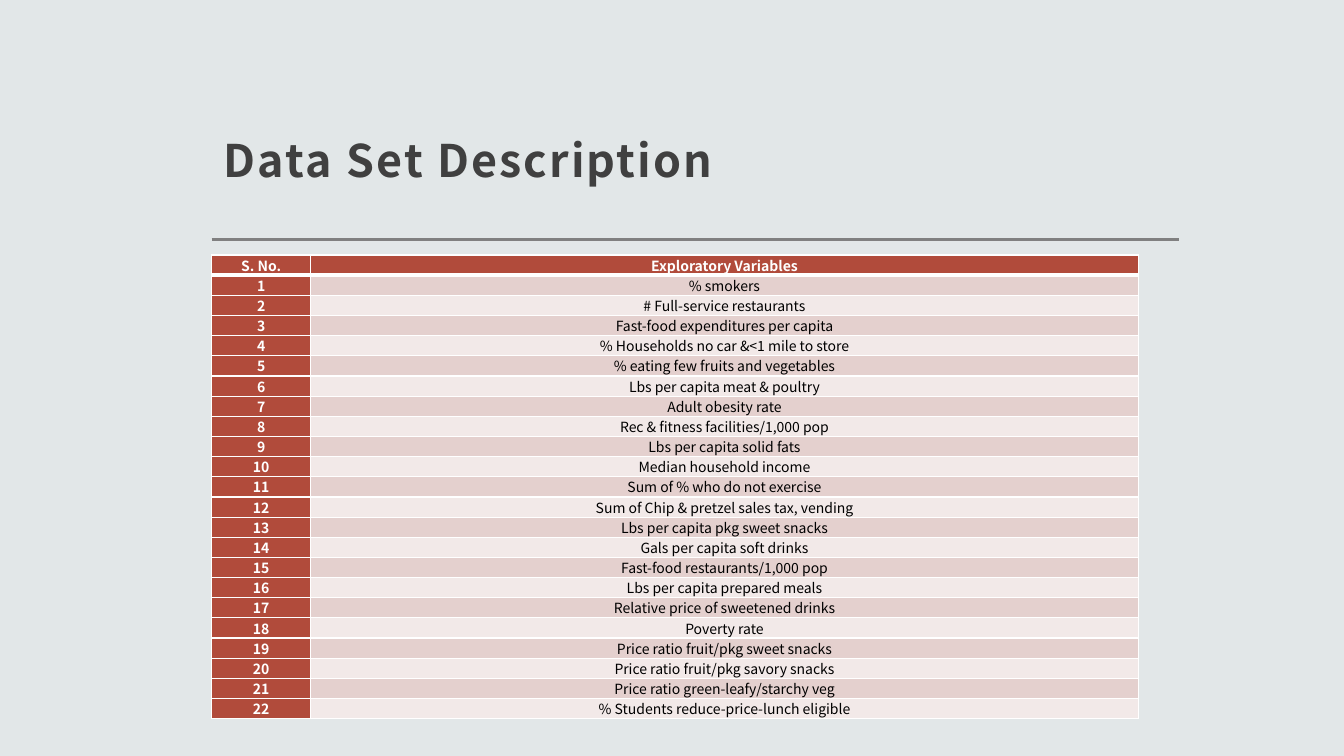
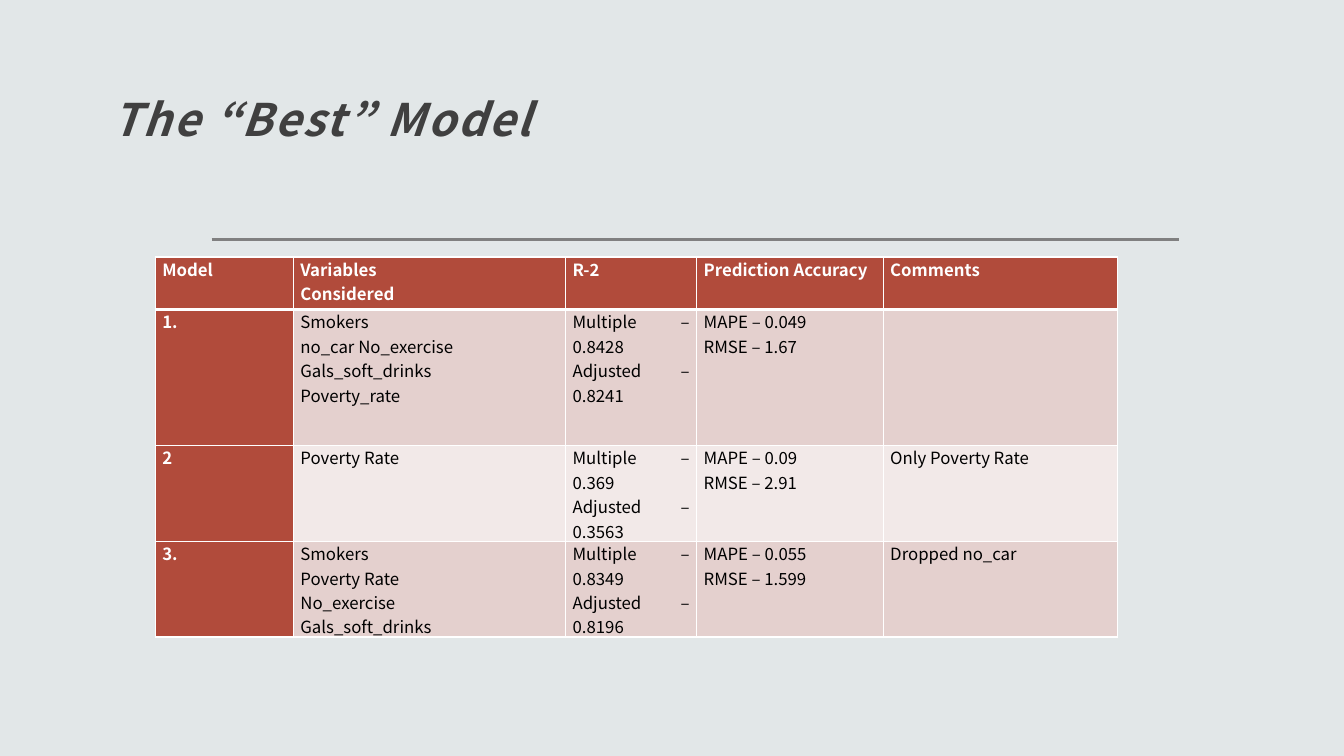
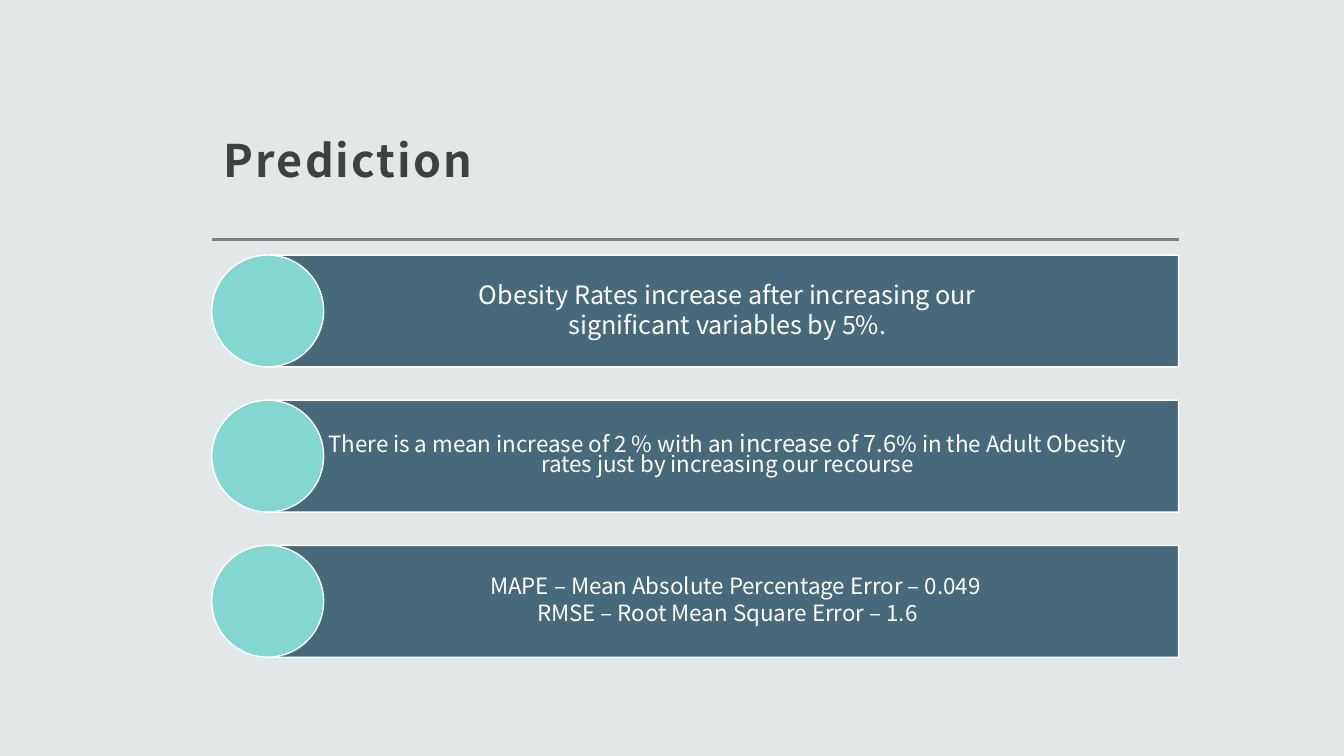
from pptx import Presentation
from pptx.dml.color import RGBColor
from pptx.enum.shapes import MSO_CONNECTOR, MSO_SHAPE
from pptx.enum.text import MSO_ANCHOR, PP_ALIGN
from pptx.oxml.ns import qn
from pptx.util import Inches, Pt
from lxml.etree import SubElement

# Shared look
FONT = "Noto Sans CJK JP"
BACK = RGBColor(0xE2, 0xE7, 0xE8)
INK = RGBColor(0x40, 0x40, 0x40)
GREY = RGBColor(0x80, 0x80, 0x80)
WHITE = RGBColor(0xFF, 0xFF, 0xFF)
BLACK = RGBColor(0, 0, 0)
RUST = RGBColor(0xB1, 0x4B, 0x3B)
STRIPES = RGBColor(0xE4, 0xD0, 0xCE), RGBColor(0xF2, 0xE9, 0xE8)
STEEL = RGBColor(0x46, 0x69, 0x7C)
AQUA = RGBColor(0x84, 0xD6, 0xD1)
LEFT, WIDE = 2.1, 9.59

# Content
FACTORS = [
    "% smokers",
    "# Full-service restaurants",
    "Fast-food expenditures per capita",
    "% Households no car &<1 mile to store",
    "% eating few fruits and vegetables",
    "Lbs per capita meat & poultry",
    "Adult obesity rate",
    "Rec & fitness facilities/1,000 pop",
    "Lbs per capita solid fats",
    "Median household income",
    "Sum of % who do not exercise",
    "Sum of Chip & pretzel sales tax, vending",
    "Lbs per capita pkg sweet snacks",
    "Gals per capita soft drinks",
    "Fast-food restaurants/1,000 pop",
    "Lbs per capita prepared meals",
    "Relative price of sweetened drinks",
    "Poverty rate",
    "Price ratio fruit/pkg sweet snacks",
    "Price ratio fruit/pkg savory snacks",
    "Price ratio green-leafy/starchy veg",
    "% Students reduce-price-lunch eligible",
]

# One list per cell, one string per paragraph
MODELS = [
    [["Model"], ["Variables", "Considered"], ["R-2"],
     ["Prediction Accuracy"], ["Comments"]],
    [["1."],
     ["Smokers", "no_car No_exercise", "Gals_soft_drinks", "Poverty_rate"],
     ["Multiple – 0.8428", "Adjusted – 0.8241"],
     ["MAPE – 0.049", "RMSE – 1.67"], []],
    [["2"], ["Poverty Rate"],
     ["Multiple – 0.369", "Adjusted – 0.3563"],
     ["MAPE – 0.09", "RMSE – 2.91"], ["Only Poverty Rate"]],
    [["3."],
     ["Smokers", "Poverty Rate", "No_exercise", "Gals_soft_drinks"],
     ["Multiple – 0.8349", "Adjusted – 0.8196"],
     ["MAPE – 0.055", "RMSE – 1.599"], ["Dropped no_car"]],
]

# Line spacing, side inset, then paragraphs of (indent, runs of (text, size))
BARS = [
    (0.9, 0, [(0, [("Obesity Rates increase after increasing our", 18)]),
              (0, [("significant variables by 5%.", 18)])]),
    (0.72, 0.3, [(0, [("There is a mean increase of 2 % with an ", 16),
                      ("increase", 17), (" of ", 16), ("7.6", 17),
                      ("% in the Adult Obesity rates just by increasing "
                       "our recourse", 16)])]),
    (0.9, 0, [(0.16, [("MAPE – Mean Absolute Percentage Error – 0.049", 16)]),
              (0, [("RMSE – Root Mean Square Error – 1.6", 16)])]),
]


def add_run(para, text, size, color, bold=False, italic=False):
    run = para.add_run()
    run.text = text
    font = run.font
    font.name, font.size, font.bold, font.italic = FONT, Pt(size), bold, italic
    font.color.rgb = color
    return run


def set_frame(frame, anchor, *insets):
    frame.word_wrap = True
    frame.vertical_anchor = anchor
    (frame.margin_left, frame.margin_top,
     frame.margin_right, frame.margin_bottom) = map(Inches, insets)


def add_box(slide, *place):
    return slide.shapes.add_textbox(*map(Inches, place)).text_frame


def start(deck, title, place=(LEFT, 0.48, WIDE, 1.47), italic=False):
    """Blank slide with background, rule and title."""
    slide = deck.slides.add_slide(deck.slide_layouts[6])
    slide.background.fill.solid()
    slide.background.fill.fore_color.rgb = BACK
    rule = slide.shapes.add_connector(
        MSO_CONNECTOR.STRAIGHT,
        *map(Inches, (LEFT, 2.38, LEFT + WIDE, 2.38)))
    rule.line.color.rgb, rule.line.width = GREY, Pt(2)
    SubElement(rule._element.spPr, qn("a:effectLst"))
    frame = add_box(slide, *place)
    set_frame(frame, MSO_ANCHOR.BOTTOM, 0.12, 0.12, 0.12, 0.1)
    para = frame.paragraphs[0]
    para.line_spacing = 1.3
    run = add_run(para, title, 32, INK, True, italic)
    run.font._element.set("spc", "150")
    return slide


def set_edges(cell, head):
    props = cell._tc.get_or_add_tcPr()
    for side in "LRTB":
        width = Pt(3 if head and side == "B" else 1)
        edge = SubElement(props, qn("a:ln" + side), w=str(width))
        fill = SubElement(edge, qn("a:solidFill"))
        SubElement(fill, qn("a:srgbClr"), val=str(WHITE))


def add_grid(slide, rows, left, top, widths, heights, size, align, anchor):
    """Table with a rust header row and first column, striped elsewhere."""
    table = slide.shapes.add_table(
        len(rows), len(widths),
        *map(Inches, (left, top, sum(widths), sum(heights)))).table
    for col, width in zip(table.columns, widths):
        col.width = Inches(width)
    for r, (row, height) in enumerate(zip(rows, heights)):
        table.rows[r].height = Inches(height)
        for c, lines in enumerate(row):
            cell = table.cell(r, c)
            strong = r == 0 or c == 0
            set_edges(cell, r == 0)
            cell.fill.solid()
            cell.fill.fore_color.rgb = RUST if strong else STRIPES[(r - 1) % 2]
            cell.vertical_anchor = anchor
            cell.margin_left = cell.margin_right = Inches(0.07)
            cell.margin_top = cell.margin_bottom = 0
            frame = cell.text_frame
            for i, line in enumerate(lines):
                para = frame.add_paragraph() if i else frame.paragraphs[0]
                para.alignment = align
                add_run(para, line, size, WHITE if strong else BLACK, strong)


def add_form(slide, kind, color, *place):
    form = slide.shapes.add_shape(kind, *map(Inches, place))
    form.shadow.inherit = False
    form.fill.solid()
    form.fill.fore_color.rgb = color
    form.line.color.rgb, form.line.width = WHITE, Pt(1)
    return form


def add_bar(slide, top, spacing, inset, paras):
    """Arrow bar with its text and a disc at the left end."""
    tall, shift = 1.11, 0.28
    bar = add_form(slide, MSO_SHAPE.PENTAGON, STEEL, LEFT, top, WIDE, tall)
    bar.rotation = 180
    frame = add_box(slide, LEFT + shift, top, WIDE - shift, tall)
    set_frame(frame, MSO_ANCHOR.MIDDLE, 0.49 + inset, 0.07, 0.13 + inset, 0.07)
    for i, (indent, runs) in enumerate(paras):
        para = frame.add_paragraph() if i else frame.paragraphs[0]
        para.alignment = PP_ALIGN.CENTER
        para.line_spacing, para.space_after = spacing, Pt(2)
        if indent:
            para._p.get_or_add_pPr().set("marL", str(Inches(indent)))
        for text, size in runs:
            add_run(para, text, size, WHITE)
    add_form(slide, MSO_SHAPE.OVAL, AQUA, LEFT, top, tall, tall)


def main():
    deck = Presentation()
    deck.slide_width, deck.slide_height = Inches(13.33), Inches(7.5)

    # Variables
    rows = [[["S. No."], ["Exploratory Variables"]]]
    rows += [[[str(n)], [name]] for n, name in enumerate(FACTORS, 1)]
    add_grid(start(deck, "Data Set Description"), rows, LEFT, 2.53,
             [0.98, 8.21], [0.2] * len(rows), 10,
             PP_ALIGN.CENTER, MSO_ANCHOR.MIDDLE)

    # Models
    slide = start(deck, "The “Best” Model", (1, 0.48, 5.67, 1.06), True)
    add_grid(slide, MODELS, 1.54, 2.55, [1.37, 2.7, 1.3, 1.85, 2.32],
             [0.52, 1.35, 0.95, 0.95], 12, PP_ALIGN.JUSTIFY, MSO_ANCHOR.TOP)

    # Prediction
    slide = start(deck, "Prediction")
    for i, bar in enumerate(BARS):
        add_bar(slide, 2.53 + 1.44 * i, *bar)

    deck.save("out.pptx")


if __name__ == "__main__":
    main()
